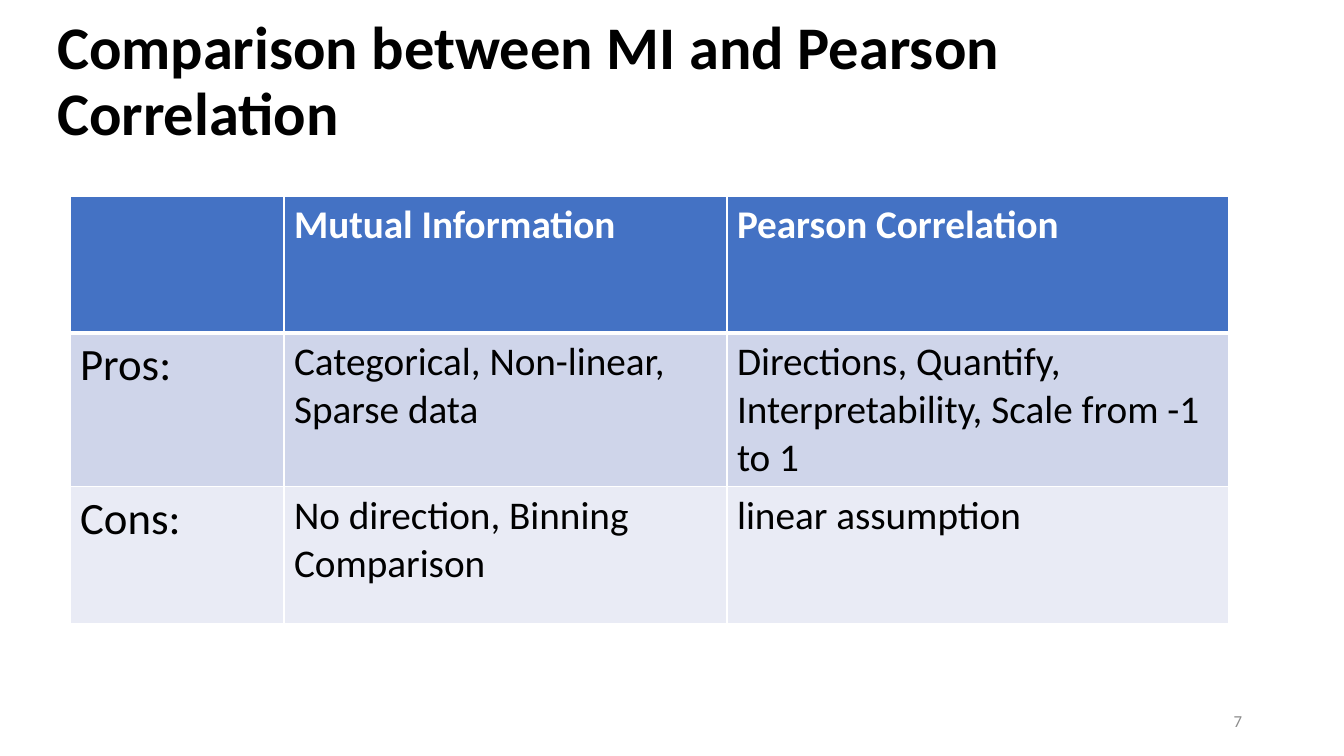
import pptx
import pptx.util
import pptx.dml.color
import pptx.enum.text
import pptx.oxml
import pptx.oxml.ns
from lxml import etree

RGBColor = pptx.dml.color.RGBColor
Pt = pptx.util.Pt
PP_ALIGN = pptx.enum.text.PP_ALIGN
MIDDLE = pptx.enum.text.MSO_ANCHOR.MIDDLE

BLACK = RGBColor(0x00, 0x00, 0x00)
WHITE = RGBColor(0xFF, 0xFF, 0xFF)
GREY = RGBColor(0x8C, 0x8C, 0x8C)
BLUE = RGBColor(0x44, 0x72, 0xC4)
BAND_DARK = RGBColor(0xCF, 0xD5, 0xEA)
BAND_LIGHT = RGBColor(0xE9, 0xEB, 0xF5)
FONT = "Calibri"

# Content: each cell is a list of paragraphs
TITLE = "Comparison between MI and Pearson Correlation"
PAGE = "7"
COMPARISON = [
    [[], ["Mutual Information"], ["Pearson Correlation"]],
    [["Pros:"], ["Categorical, Non-linear, Sparse data"],
     ["Directions, Quantify,", "Interpretability, Scale from -1 to 1"]],
    [["Cons:"], ["No direction, Binning Comparison"], ["linear assumption"]],
]
ROW_FILLS = [BLUE, BAND_DARK, BAND_LIGHT]

# Layout in pixels
TITLE_BOX = (47, 10, 1250, 146)
PAGE_BOX = (950, 701, 302, 40)
TABLE_LEFT, TABLE_TOP = 70, 196
COLUMN_WIDTHS = [214, 443, 502]
ROW_HEIGHTS = [137, 153, 137]


def px(length):
    return round(length * 914400 / 100.8)


def write(paragraph, text, size, color, bold=False):
    run = paragraph.add_run()
    run.text = text
    run.font.name = FONT
    run.font.size = Pt(size)
    run.font.bold = bold
    run.font.color.rgb = color


def add_borders(cell, widths):
    """Put white lines on the cell sides, ahead of its fill."""
    properties = cell._tc.get_or_add_tcPr()
    for position, (side, width) in enumerate(widths.items()):
        line = etree.Element(pptx.oxml.ns.qn("a:ln" + side), w=str(Pt(width)))
        fill = etree.SubElement(line, pptx.oxml.ns.qn("a:solidFill"))
        etree.SubElement(fill, pptx.oxml.ns.qn("a:srgbClr"), val=str(WHITE))
        properties.insert(position, line)


deck = pptx.Presentation()
deck.slide_width, deck.slide_height = px(1344), px(756)
slide = deck.slides.add_slide(deck.slide_layouts[5])

# Title
title = slide.shapes.title
title.left, title.top, title.width, title.height = map(px, TITLE_BOX)
title.text_frame.word_wrap = True
title.text_frame.auto_size = pptx.enum.text.MSO_AUTO_SIZE.NONE
title.text_frame.vertical_anchor = MIDDLE
heading = title.text_frame.paragraphs[0]
heading.alignment = PP_ALIGN.LEFT
heading.line_spacing = 0.9
write(heading, TITLE, 43.2, BLACK, bold=True)

# Comparison table
comparison = slide.shapes.add_table(
    len(ROW_HEIGHTS), len(COLUMN_WIDTHS), px(TABLE_LEFT), px(TABLE_TOP),
    px(sum(COLUMN_WIDTHS)), px(sum(ROW_HEIGHTS))).table
for column, width in zip(comparison.columns, COLUMN_WIDTHS):
    column.width = px(width)
for row, height in zip(comparison.rows, ROW_HEIGHTS):
    row.height = px(height)

for r, entries in enumerate(COMPARISON):
    header = r == 0
    for c, lines in enumerate(entries):
        cell = comparison.cell(r, c)
        cell.fill.solid()
        cell.fill.fore_color.rgb = ROW_FILLS[r]
        add_borders(cell, {"L": 1, "R": 1, "T": 3 if r == 1 else 1,
                           "B": 3 if header else 1})
        for i, line in enumerate(lines):
            frame = cell.text_frame
            paragraph = frame.add_paragraph() if i else frame.paragraphs[0]
            write(paragraph, line, 28 if c else 32,
                  WHITE if header else BLACK, bold=header)

# Page number
page = slide.shapes.add_textbox(*map(px, PAGE_BOX)).text_frame
page.word_wrap = True
page.vertical_anchor = MIDDLE
page.paragraphs[0].alignment = PP_ALIGN.RIGHT
write(page.paragraphs[0], PAGE, 12, GREY)

deck.save("out.pptx")
